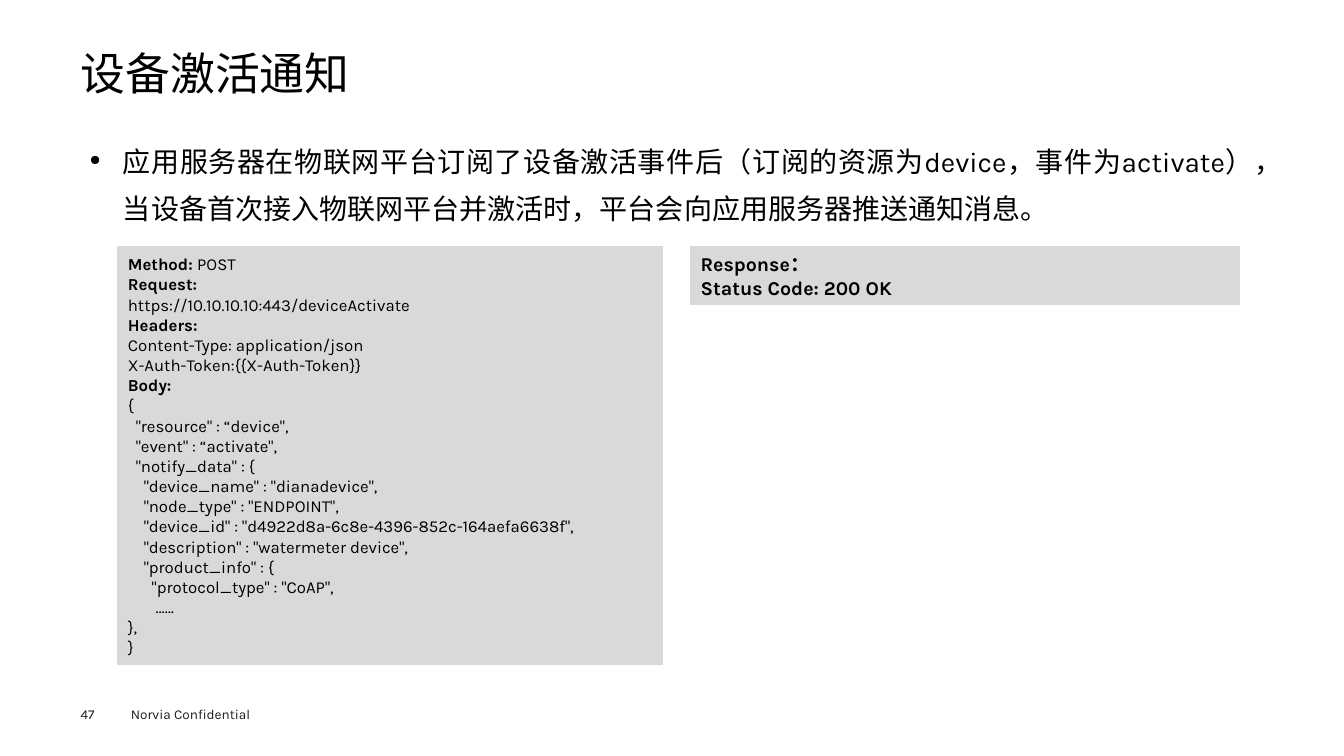
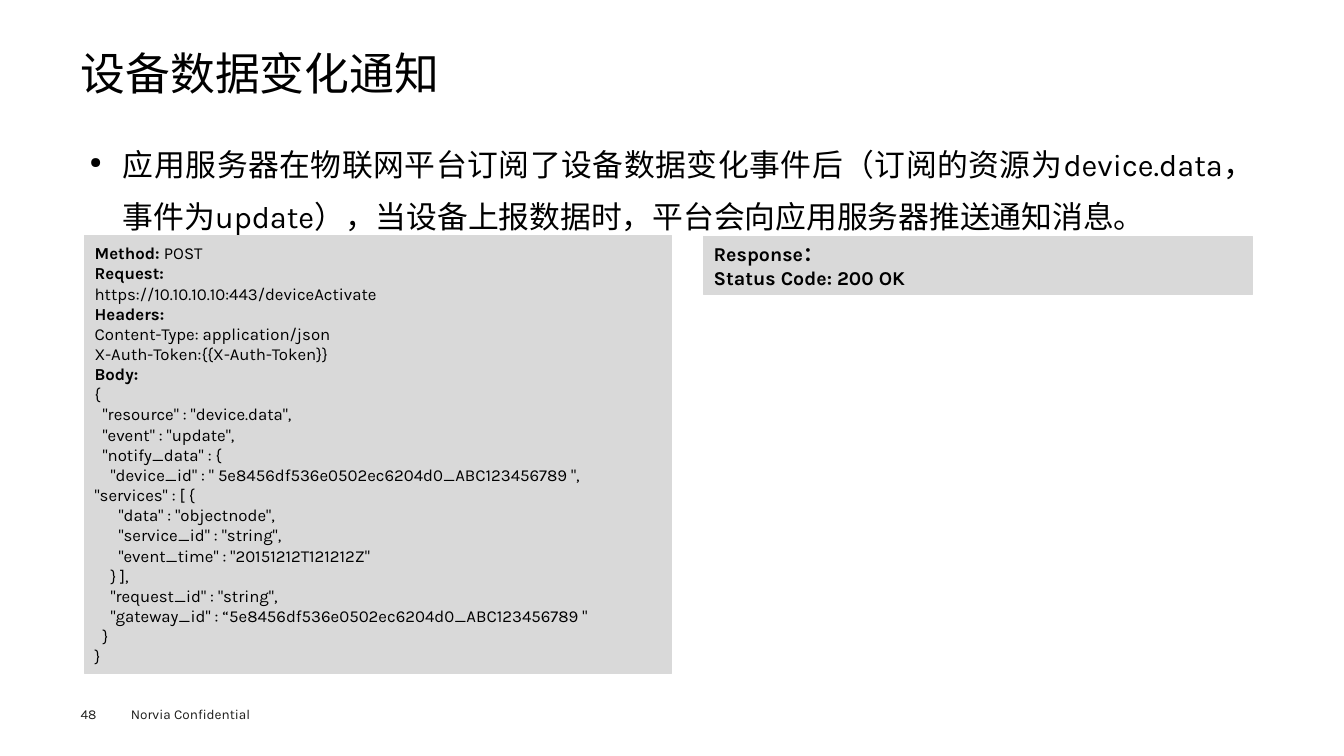
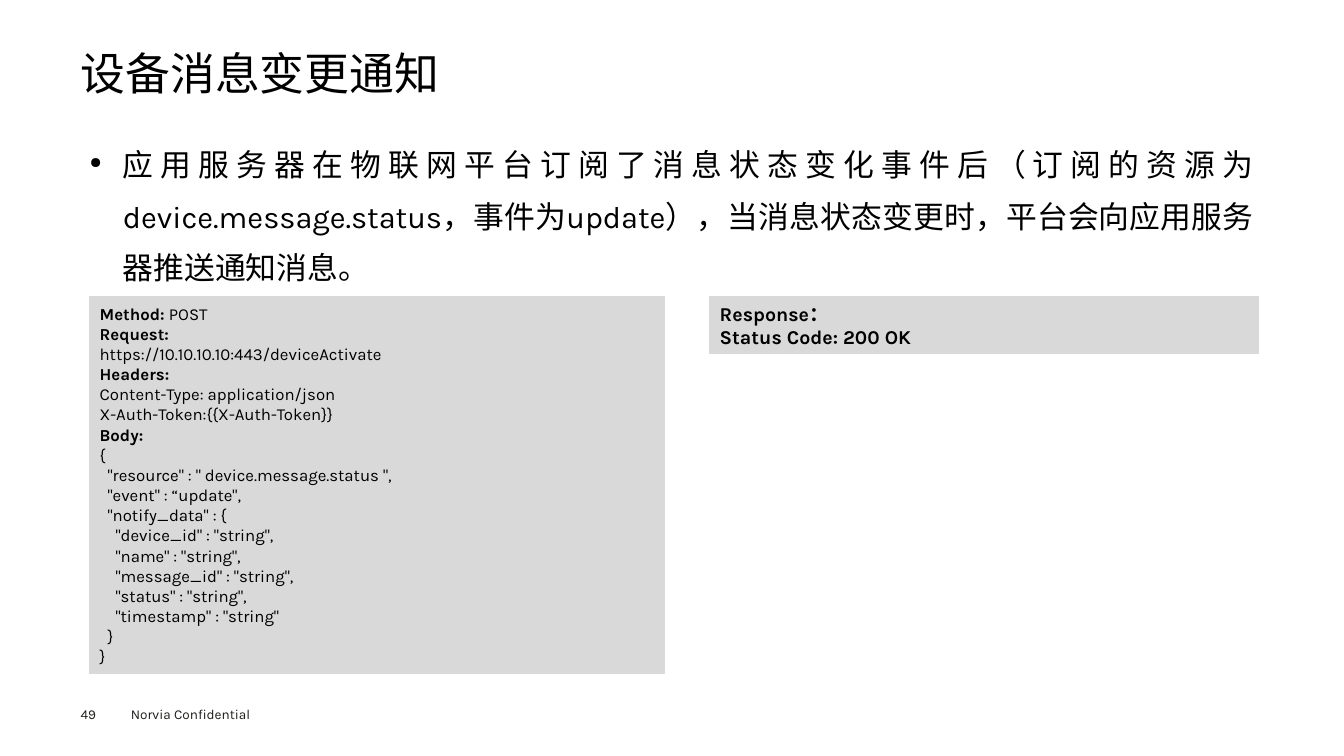
from lxml.etree import SubElement
from pptx import Presentation
from pptx.dml.color import RGBColor
from pptx.enum.lang import MSO_LANGUAGE_ID as Lang
from pptx.enum.shapes import MSO_SHAPE as Shape
from pptx.enum.text import MSO_ANCHOR as Anchor, PP_ALIGN as Align
from pptx.oxml.ns import qn
from pptx.util import Emu, Pt

SCALE = 9144
FONT = "Karla"
BLACK = RGBColor(0x00, 0x00, 0x00)
INK = RGBColor(0x1D, 0x1D, 0x1B)
WHITE = RGBColor(0xFF, 0xFF, 0xFF)
PANEL_GREY = RGBColor(0xD9, 0xD9, 0xD9)

PANEL_INSETS = (10, 5, 10, 5)
NO_INSETS = (0, 0, 0, 0)
RESPONSE_SIZE = (544, 57)

CALL = [
    [("Method: ", True), ("POST", False)],
    [("Request:", True)],
    "https://10.10.10.10:443/deviceActivate",
    [("Headers:", True)],
    "Content-Type: application/json",
    "X-Auth-Token:{{X-Auth-Token}}",
    [("Body:", True)],
]
RESPONSE = ["Response：", "Status Code: 200 OK"]

ACTIVATE_BODY = """{
  "resource" : “device",
  "event" : “activate",
  "notify_data" : {
    "device_name" : "dianadevice",
    "node_type" : "ENDPOINT",
    "device_id" : "d4922d8a-6c8e-4396-852c-164aefa6638f",
    "description" : "watermeter device",
    "product_info" : {
      "protocol_type" : "CoAP",
       ……
},
}"""

DATA_BODY = """{
  "resource" : "device.data",
  "event" : "update",
  "notify_data" : {
    "device_id" : " 5e8456df536e0502ec6204d0_ABC123456789 ",
"services" : [ {
      "data" : "objectnode",
      "service_id" : "string",
      "event_time" : "20151212T121212Z"
    } ],
    "request_id" : "string",
    "gateway_id" : “5e8456df536e0502ec6204d0_ABC123456789 "
  }
}"""

MESSAGE_BODY = """{
  "resource" : " device.message.status ",
  "event" : “update",
  "notify_data" : {
    "device_id" : "string",
    "name" : "string",
    "message_id" : "string",
    "status" : "string",
    "timestamp" : "string"
  }
}"""

NOTICES = [
    dict(
        page=47,
        title="设备激活通知",
        summary="应用服务器在物联网平台订阅了设备激活事件后（订阅的资源为device，事件为activate），当设备首次接入物联网平台并激活时，平台会向应用服务器推送通知消息。",
        summary_size=20,
        body=ACTIVATE_BODY,
        request_box=(117, 245, 540, 414),
        response_at=(685, 245),
    ),
    dict(
        page=48,
        title="设备数据变化通知",
        summary="应用服务器在物联网平台订阅了设备数据变化事件后（订阅的资源为device.data，事件为update），当设备上报数据时，平台会向应用服务器推送通知消息。",
        summary_size=22,
        body=DATA_BODY,
        request_box=(84, 234, 582, 434),
        response_at=(698, 235),
    ),
    dict(
        page=49,
        title="设备消息变更通知",
        summary="应用服务器在物联网平台订阅了消息状态变化事件后（订阅的资源为device.message.status，事件为update），当消息状态变更时，平台会向应用服务器推送通知消息。",
        summary_size=22,
        body=MESSAGE_BODY,
        request_box=(89, 294, 570, 374),
        response_at=(704, 294),
    ),
]


def px(*lengths):
    return [Emu(length * SCALE) for length in lengths]


def add_bullet(paragraph, indent):
    props = paragraph._p.get_or_add_pPr()
    props.set("marL", str(indent * SCALE))
    props.set("indent", str(-indent * SCALE))
    SubElement(props, qn("a:buSzPct"), val="50000")
    SubElement(props, qn("a:buChar"), char="●")


def write(holder, paragraphs, size, color=BLACK, bold=False, align=Align.LEFT,
          anchor=Anchor.TOP, insets=NO_INSETS, spacing=None, bullet=0,
          language=None, wrap=True):
    frame = holder.text_frame
    frame.word_wrap = wrap
    frame.vertical_anchor = anchor
    (frame.margin_left, frame.margin_top,
     frame.margin_right, frame.margin_bottom) = px(*insets)
    for index, content in enumerate(paragraphs):
        paragraph = frame.add_paragraph() if index else frame.paragraphs[0]
        if bullet:
            add_bullet(paragraph, bullet)
        paragraph.alignment = align
        if spacing:
            paragraph.line_spacing = spacing
        runs = [(content, bold)] if isinstance(content, str) else content
        for words, is_bold in runs:
            run = paragraph.add_run()
            run.text = words
            font = run.font
            font.name, font.size, font.bold = FONT, Pt(size), is_bold
            font.color.rgb = color
            if language:
                font.language_id = language


def add_text(slide, box, paragraphs, **style):
    write(slide.shapes.add_textbox(*px(*box)), paragraphs, **style)


def add_panel(slide, box, paragraphs, **style):
    panel = slide.shapes.add_shape(Shape.RECTANGLE, *px(*box))
    panel.shadow.inherit = False
    panel.fill.solid()
    panel.fill.fore_color.rgb = PANEL_GREY
    panel.line.color.rgb = PANEL_GREY
    panel.line.width = Pt(0.75)
    write(panel, paragraphs, anchor=Anchor.MIDDLE, insets=PANEL_INSETS, **style)


def add_footer(slide, box, page):
    left, top, width, height = box
    add_text(slide, (left + 40, top - 5, 160, 27), ["Norvia Confidential"],
             size=9.7, color=INK, insets=PANEL_INSETS, wrap=False)
    add_text(slide, (left, top, 55, height), [str(page)], size=9.7, color=INK)


def add_heading(slide, box, title, summary, summary_size):
    left, top, width, height = box
    add_text(slide, (left, top, width, 53), [title], size=32, spacing=0.9,
             anchor=Anchor.MIDDLE, language=Lang.SIMPLIFIED_CHINESE)
    add_text(slide, (left, top + 77, width, height - 77), [summary],
             size=summary_size, align=Align.JUSTIFY, insets=(9, 4, 9, 4),
             spacing=1.4, bullet=33, language=Lang.SIMPLIFIED_CHINESE)


def add_notice(deck, page, title, summary, summary_size, body,
               request_box, response_at):
    slide = deck.slides.add_slide(deck.slide_layouts[6])
    slide.background.fill.solid()
    slide.background.fill.fore_color.rgb = WHITE
    add_footer(slide, (80, 700, 1173, 16), page)
    add_heading(slide, (80, 49, 1173, 600), title, summary, summary_size)
    add_panel(slide, request_box, CALL + body.split("\n"), size=12)
    add_panel(slide, response_at + RESPONSE_SIZE, RESPONSE, size=14, bold=True)


def main():
    deck = Presentation()
    deck.slide_width, deck.slide_height = px(1333, 750)
    for notice in NOTICES:
        add_notice(deck, **notice)
    deck.save("out.pptx")


if __name__ == "__main__":
    main()
